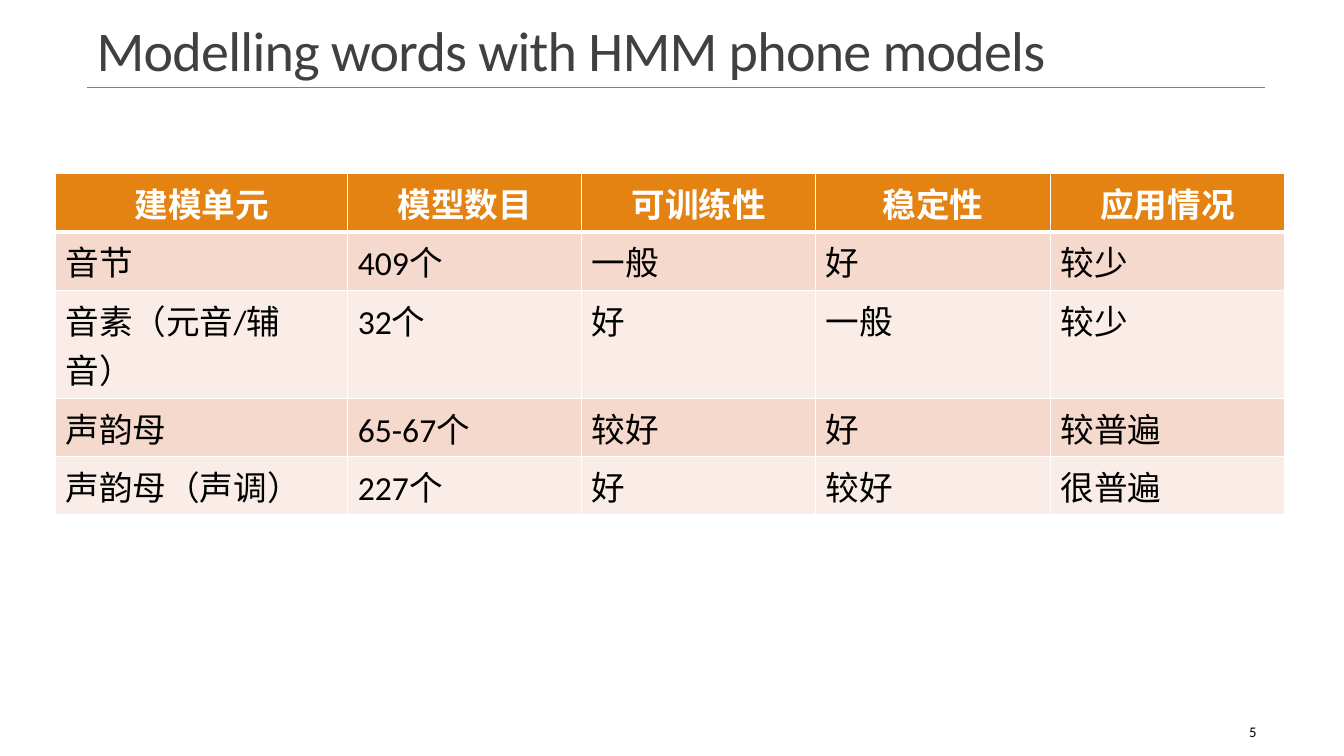
from dataclasses import dataclass

import pptx
import pptx.dml.color
import pptx.enum.shapes
import pptx.enum.text
import pptx.oxml
import pptx.oxml.ns
import pptx.util
from pptx.util import Inches

ALIGN = pptx.enum.text.PP_ALIGN
ANCHOR = pptx.enum.text.MSO_ANCHOR


@dataclass(frozen=True)
class Theme:
    font: str = "Calibri"
    title: str = "404040"
    rule: str = "808080"
    text: str = "000000"
    white: str = "FFFFFF"
    header: str = "E48312"
    bands: tuple = ("F5D9CC", "FAEDE7")
    title_size: float = 40
    table_size: float = 24
    number_size: float = 10.5


def rgb(color):
    return pptx.dml.color.RGBColor.from_string(color)


class SlideBuilder:
    def __init__(self, prs, theme):
        self.theme = theme
        self.s = prs.slides.add_slide(prs.slide_layouts[6])

    def run(self, p, text, size, color, bold=False):
        r = p.add_run()
        r.text = text
        r.font.name = self.theme.font
        r.font.size = pptx.util.Pt(size)
        r.font.bold = bold
        r.font.color.rgb = rgb(color)
        return r

    def text(self, box, text, size, color, anchor, align=ALIGN.LEFT, spacing=1.0, tracking=0):
        sp = self.s.shapes.add_textbox(*map(Inches, box))
        tf = sp.text_frame
        tf.word_wrap = True
        tf.vertical_anchor = anchor
        p = tf.paragraphs[0]
        p.alignment = align
        p.line_spacing = spacing
        r = self.run(p, text, size, color)
        if tracking:
            r.font._element.set("spc", str(round(tracking * 100)))

    def line(self, x1, y1, x2, y2, color, width):
        line = self.s.shapes.add_connector(
            pptx.enum.shapes.MSO_CONNECTOR.STRAIGHT, *map(Inches, (x1, y1, x2, y2)))
        line.line.color.rgb = rgb(color)
        line.line.width = pptx.util.Pt(width)
        line._element.spPr.append(pptx.oxml.parse_xml(
            f'<a:effectLst {pptx.oxml.ns.nsdecls("a")}/>'))

    def borders(self, cell, bottom):
        tc_pr = cell._tc.get_or_add_tcPr()
        for side, width in (("L", 1), ("R", 1), ("T", 1), ("B", bottom)):
            tc_pr.append(pptx.oxml.parse_xml(
                f'<a:ln{side} {pptx.oxml.ns.nsdecls("a")} w="{pptx.util.Pt(width)}">'
                f'<a:solidFill><a:srgbClr val="{self.theme.white}"/></a:solidFill>'
                f'</a:ln{side}>'))

    def table(self, left, top, widths, heights, rows):
        t = self.theme
        table = self.s.shapes.add_table(
            len(rows), len(widths), Inches(left), Inches(top),
            Inches(sum(widths)), Inches(sum(heights))).table
        for column, width in zip(table.columns, widths):
            column.width = Inches(width)
        for table_row, height in zip(table.rows, heights):
            table_row.height = Inches(height)
        for i, row in enumerate(rows):
            is_header = i == 0
            for j, text in enumerate(row):
                cell = table.cell(i, j)
                self.borders(cell, 3 if is_header else 1)
                cell.fill.solid()
                cell.fill.fore_color.rgb = rgb(t.header if is_header else t.bands[(i - 1) % 2])
                p = cell.text_frame.paragraphs[0]
                p.alignment = ALIGN.CENTER if is_header else ALIGN.LEFT
                self.run(p, text, t.table_size, t.white if is_header else t.text, is_header)


def main():
    prs = pptx.Presentation()
    prs.slide_width = Inches(13.33)
    prs.slide_height = Inches(7.5)
    theme = Theme()
    slide = SlideBuilder(prs, theme)

    slide.line(0.86, 0.87, 12.55, 0.87, theme.rule, 0.5)
    slide.text((0.86, 0.13, 11.7, 0.74), "Modelling words with HMM phone models",
               theme.title_size, theme.title, ANCHOR.BOTTOM, spacing=0.85, tracking=-0.5)
    slide.table(0.55, 1.72, [2.9, 2.32, 2.32, 2.33, 2.32], [0.58, 0.58, 1.07, 0.58, 0.58], [
        ("建模单元", "模型数目", "可训练性", "稳定性", "应用情况"),
        ("音节", "409个", "一般", "好", "较少"),
        ("音素（元音/辅音）", "32个", "好", "一般", "较少"),
        ("声韵母", "65-67个", "较好", "好", "较普遍"),
        ("声韵母（声调）", "227个", "好", "较好", "很普遍"),
    ])
    slide.text((11.13, 7.06, 1.43, 0.4), "5", theme.number_size, theme.text,
               ANCHOR.MIDDLE, ALIGN.RIGHT)
    prs.save("out.pptx")


if __name__ == "__main__":
    main()
